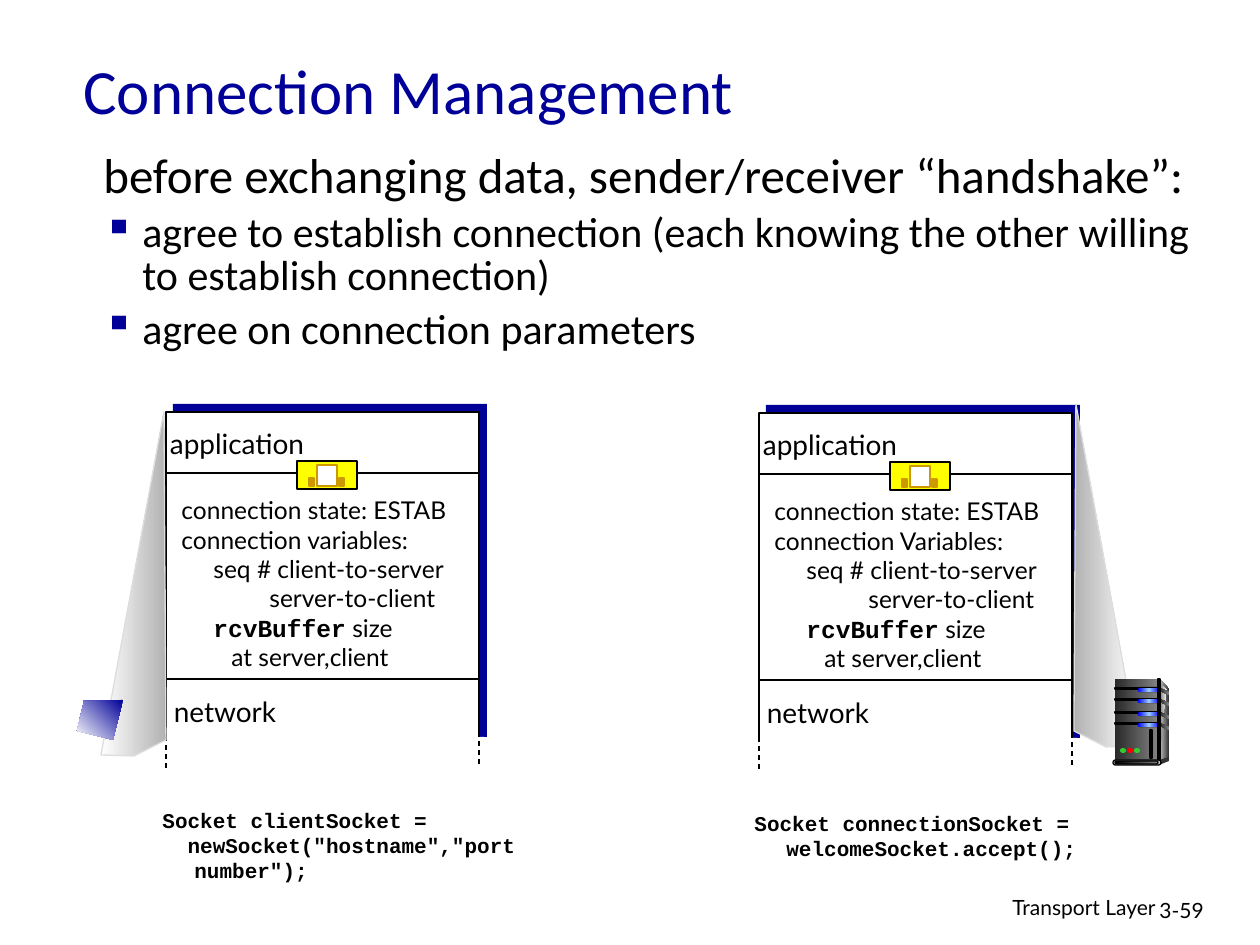
from lxml import etree
from pptx import Presentation
from pptx.dml.color import RGBColor
from pptx.enum.dml import MSO_LINE
from pptx.enum.shapes import MSO_CONNECTOR, MSO_SHAPE
from pptx.enum.text import MSO_ANCHOR, PP_ALIGN
from pptx.oxml.ns import qn
from pptx.util import Pt

RECT, PILL, OVAL = MSO_SHAPE.RECTANGLE, MSO_SHAPE.ROUNDED_RECTANGLE, MSO_SHAPE.OVAL
STRAIGHT = MSO_CONNECTOR.STRAIGHT
DASH = MSO_LINE.DASH
LEFT, CENTER, RIGHT = PP_ALIGN.LEFT, PP_ALIGN.CENTER, PP_ALIGN.RIGHT
TOP, MIDDLE = MSO_ANCHOR.TOP, MSO_ANCHOR.MIDDLE

PX = 914400 / 126
COLORS = {
    "navy": "000099", "black": "000000", "white": "FFFFFF", "yellow": "FFFF00",
    "gold": "CC9900", "silver": "B2B2B2", "pale": "DDDDDD", "gray": "808080",
    "mist": "F8F8F8", "dark": "333333", "coal": "292929", "blue": "0000FF",
    "sky": "99CCFF", "green": "33CC33", "red": "FF0000",
}
HEADING, LABEL, CODE = "Calibri", "Lato", "Courier New"
PANEL_STEP = (593, 1)  # from the client panel to the server panel


def px(value):
    return round(value * PX)


def rgb(name):
    return RGBColor.from_string(COLORS[name])


def paint(shape, fill, line=None, angle=0):
    """Fill with one colour name, or with a gradient of evenly spaced names."""
    shape.shadow.inherit = False
    if isinstance(fill, str):
        shape.fill.solid()
        shape.fill.fore_color.rgb = rgb(fill)
    else:
        shape.fill.gradient()
        shape.fill.gradient_angle = -angle % 360
        stops = shape._element.spPr.find(".//" + qn("a:gsLst"))
        for stop in list(stops):
            stops.remove(stop)
        for i, name in enumerate(fill):
            position = str(i * 100000 // (len(fill) - 1))
            stop = etree.SubElement(stops, qn("a:gs"), pos=position)
            etree.SubElement(stop, qn("a:srgbClr"), val=COLORS[name])
    if line:
        shape.line.color.rgb = rgb(line)
        shape.line.width = Pt(0.75)
    else:
        shape.line.fill.background()


def add_block(shapes, kind, box, fill, line=None):
    block = shapes.add_shape(kind, *map(px, box))
    if kind == PILL:
        block.adjustments[0] = 0.5
    paint(block, fill, line)


def add_outline(shapes, points, fill, line=None, angle=0):
    corners = [(px(x), px(y)) for x, y in points]
    builder = shapes.build_freeform(*corners[0], scale=1.0)
    builder.add_line_segments(corners[1:], close=True)
    paint(builder.convert_to_shape(), fill, line, angle)


def add_line(shapes, start, end, dash=None):
    line = shapes.add_connector(STRAIGHT, *map(px, start + end))
    line.line.color.rgb = rgb("black")
    line.line.width = Pt(0.75)
    if dash:
        line.line.dash_style = dash
    etree.SubElement(line._element.spPr, qn("a:effectLst"))


def add_text(shapes, box, size, font, paragraphs, color="black", align=LEFT,
             anchor=TOP, wrap=True, bold=False):
    """Each paragraph is (runs, options); a run is text or (text, font, bold)."""
    frame = shapes.add_textbox(*map(px, box)).text_frame
    frame.word_wrap = wrap
    frame.vertical_anchor = anchor
    for i, (runs, options) in enumerate(paragraphs):
        paragraph = frame.paragraphs[0] if i == 0 else frame.add_paragraph()
        paragraph.alignment = align
        properties = paragraph._p.get_or_add_pPr()
        properties.set("marL", str(px(options.get("margin", 0))))
        properties.set("indent", str(px(options.get("indent", 0))))
        if "bullet" in options:
            bullet_color = etree.SubElement(properties, qn("a:buClr"))
            etree.SubElement(bullet_color, qn("a:srgbClr"), val=COLORS["navy"])
            etree.SubElement(properties, qn("a:buChar"), char=options["bullet"])
        if "spacing" in options:
            paragraph.line_spacing = options["spacing"]
        if "before" in options:
            paragraph.space_before = Pt(options["before"])
        for item in runs:
            text, run_font, run_bold = (item, font, bold) if isinstance(item, str) else item
            run = paragraph.add_run()
            run.text = text
            run.font.name = run_font
            run.font.bold = run_bold
            run.font.size = Pt(options.get("size", size))
            run.font.color.rgb = rgb(color)


def add_panel(shapes, step, variables_label, reply_margin):
    """Protocol stack with its connection state."""
    dx, dy = step

    def at(x, y, *size):
        return (x + dx, y + dy, *size)

    add_block(shapes, RECT, at(173, 404, 314, 333), "navy")
    add_block(shapes, RECT, at(166, 412, 313, 340), "white", "black")
    for y in (473, 679):
        add_line(shapes, at(166, y), at(480, y))
    add_text(shapes, at(169, 489, 321, 219), 14, LABEL, [
        (["connection state: ESTAB"], {}),
        ([variables_label], {}),
        (["seq # client-to-server"], {"margin": 32}),
        (["server-to-client"], {"margin": reply_margin}),
        ([("rcvBuffer", CODE, True), " size"], {"margin": 32}),
        (["at server,client"], {"margin": 50}),
    ])
    # Socket
    socket = shapes.add_group_shape().shapes
    add_block(socket, RECT, at(297, 461, 60, 28), "yellow", "black")
    add_block(socket, RECT, at(317, 465, 20, 21), "white", "gold")
    for x in (339, 309):
        add_block(socket, RECT, at(x, 478, 5, 8), "gold", "gold")
    for name, box in (("application", (152, 420, 170, 47)),
                      ("network", (158, 688, 134, 47))):
        add_text(shapes, at(*box), 16, LABEL, [([name], {})], align=CENTER, wrap=False)
    # Open lower end
    add_block(shapes, RECT, at(163, 737, 321, 25), "white")
    for x, y in ((166, 736), (479, 732)):
        add_line(shapes, at(x, y), at(x, y + 33), DASH)


def add_server(shapes):
    tower = shapes.add_group_shape().shapes
    add_outline(tower, [(1160, 679), (1169, 689), (1169, 757), (1158, 761)], ("pale", "dark"))
    add_block(tower, RECT, (1115, 679, 42, 82), ("coal", "gray"))
    add_outline(tower, [(1160, 684), (1167, 690), (1162, 722), (1160, 759)], ("gray", "mist"))
    # Drive bays with side vents
    for y in (688, 699, 712, 723):
        add_block(tower, RECT, (1115, y, 24, 1), "black", "black")
        add_block(tower, PILL, (1138, y - 1, 23, 5), "black")
        add_block(tower, PILL, (1138, y, 22, 4), ("blue", "sky", "blue"))
        add_outline(tower, [(1160, y), (1169, y + 4), (1169, y + 7), (1160, y + 3)],
                    ("coal", "gray"))
    add_block(tower, RECT, (1158, 679, 2, 82), ("dark", "pale", "dark"), "black")
    # Base
    add_block(tower, OVAL, (1168, 757, 1, 4), "dark")
    add_outline(tower, [(1159, 760), (1159, 765), (1169, 761), (1169, 757)], "dark")
    add_block(tower, PILL, (1113, 760, 48, 5), "pale", "black")
    add_block(tower, PILL, (1115, 761, 43, 3), ("black", "gray"), "black")
    # Status lights and handle
    for x, color in ((1120, "green"), (1127, "red"), (1134, "green")):
        add_block(tower, OVAL, (x, 748, 6, 5), color)
    add_block(tower, RECT, (1150, 730, 2, 28), "coal", "black")


def main():
    deck = Presentation()
    deck.slide_width, deck.slide_height = px(1260), px(945)
    shapes = deck.slides.add_slide(deck.slide_layouts[6]).shapes

    # Footer
    add_text(shapes, (769, 888, 399, 39), 12, LABEL, [(["Transport Layer"], {})], align=RIGHT)
    add_text(shapes, (1147, 891, 93, 38), 12, LABEL, [(["3-59"], {})])

    # Title and points
    add_text(shapes, (71, 26, 1071, 126), 36, HEADING, [(["Connection Management"], {})],
             color="navy", anchor=MIDDLE)
    hanging = {"margin": 39, "indent": -39, "spacing": 0.85}
    point = {**hanging, "bullet": "▪", "before": 6}
    add_text(shapes, (91, 147, 1149, 301), 24, HEADING, [
        (["before exchanging data, sender/receiver “handshake”:"], {**hanging, "size": 28}),
        (["agree to establish connection (each knowing the other willing "
          "to establish connection)"], point),
        (["agree on connection parameters"], point),
    ])

    # Client and server panels, each fanning out from its machine
    add_panel(shapes, (0, 0), "connection variables:", 88)
    add_outline(shapes, [(101, 755), (164, 412), (166, 740), (134, 756)],
                ("white", "silver"), "pale")
    add_panel(shapes, PANEL_STEP, "connection Variables:", 94)
    add_outline(shapes, [(1138, 746), (1076, 404), (1074, 731), (1106, 747)],
                ("silver", "white"), "pale")

    # Socket calls
    wrapped = {"margin": 32, "indent": -32}
    add_text(shapes, (150, 801, 398, 88), 12, CODE, [
        (["Socket clientSocket ="], wrapped),
        (['  newSocket("hostname","port number");'], wrapped),
    ], bold=True)
    add_text(shapes, (742, 804, 398, 63), 12, CODE, [
        (["Socket connectionSocket = welcomeSocket.accept();"], wrapped),
    ], bold=True)

    # Machines
    add_outline(shapes, [(123, 700), (84, 701), (77, 731), (113, 740)],
                ("navy", "white"), angle=135)
    add_server(shapes)

    deck.save("out.pptx")


if __name__ == "__main__":
    main()
